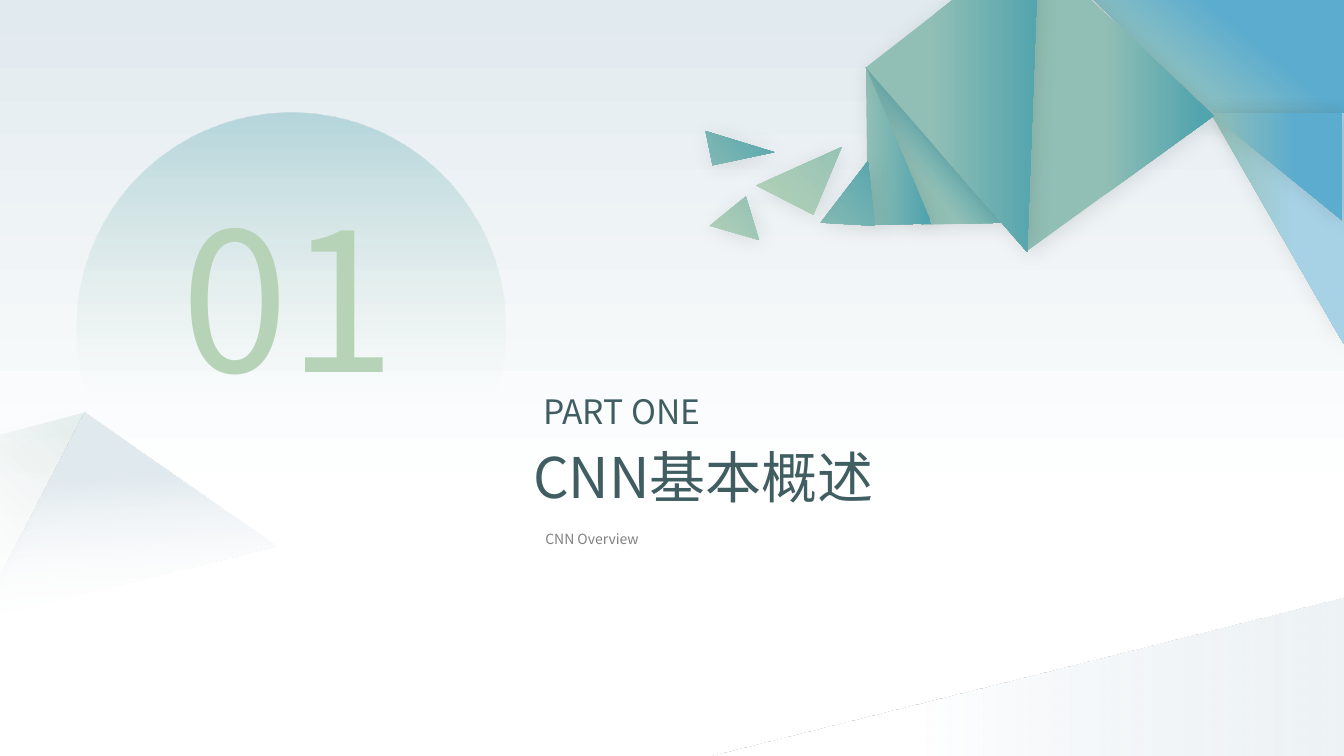
"""Builds the section-opening slide for part one, the CNN overview."""
from dataclasses import dataclass
from math import cos, radians, sin
from typing import Optional, Union

from lxml.etree import SubElement
from pptx import Presentation
from pptx.dml.color import RGBColor
from pptx.dml.fill import FillFormat
from pptx.enum.shapes import MSO_SHAPE as Preset
from pptx.enum.text import MSO_ANCHOR as Anchor, MSO_AUTO_SIZE as AutoSize, PP_ALIGN as Align
from pptx.oxml.ns import qn
from pptx.shapes.autoshape import Shape
from pptx.slide import Slide
from pptx.util import Pt


@dataclass(frozen=True)
class Theme:
    """Colours, font and type sizes of the slide."""
    mist: str = "E1EAEF"
    white: str = "FFFFFF"
    sage: str = "92BFB5"
    teal: str = "52A4AE"
    leaf: str = "B6D3B7"
    sky: str = "5CACCF"
    ice: str = "A7D2E5"
    ink: str = "405E62"
    grey: str = "808080"
    shadow: str = "000000"
    font: str = "Noto Sans CJK SC"
    number_size: int = 138
    title_size: int = 40
    part_size: int = 24
    caption_size: int = 10


@dataclass(frozen=True)
class Stop:
    """One gradient stop, with position and opacity in percent."""
    position: int
    color: str
    opacity: int = 100


@dataclass(frozen=True)
class Gradient:
    """A two-stop linear gradient with a clockwise angle."""
    start: Stop
    end: Stop
    angle: int = 0


@dataclass(frozen=True)
class Panel:
    """A preset shape; a triangle has its apex at the right."""
    preset: Preset
    box: tuple[float, float, float, float]
    gradient: Gradient
    flipped: bool = False
    shadow: bool = False


@dataclass(frozen=True)
class Facet:
    """A three-cornered outline given by its visible corners."""
    corners: tuple[tuple[float, float], ...]
    gradient: Gradient
    rotation: float = 0
    shadow: bool = True


THEME = Theme()
TILT = 316.9


def blend(first: str, start: int, last: str, end: int, angle: int = 0) -> Gradient:
    """Return an opaque gradient between two colours."""
    return Gradient(Stop(start, first), Stop(end, last), angle)


SAGE_TEAL = blend(THEME.sage, 3, THEME.teal, 92)
LEAF_SAGE = blend(THEME.leaf, 3, THEME.sage, 92)

SCENE: list[Union[Panel, Facet]] = [
    Panel(Preset.RECTANGLE, (0, 0, 960, 540), blend(THEME.mist, 0, THEME.white, 67, 90)),
    Panel(Preset.ISOSCELES_TRIANGLE, (502.6, 427, 458.6, 113.8),
          Gradient(Stop(0, THEME.mist, 57), Stop(67, THEME.white), 180)),
    Facet(((-13.7, 444.2), (-11.5, 313.9), (61.2, 294.5)),
          Gradient(Stop(17, THEME.white, 0), Stop(82, THEME.sage, 22)), TILT),
    Facet(((-15.8, 442.8), (60.5, 294.5), (197.3, 390.2)),
          Gradient(Stop(29, THEME.mist), Stop(67, THEME.white, 0), 130), TILT, False),
    Panel(Preset.ISOSCELES_TRIANGLE, (781.2, 0, 179.3, 175),
          blend(THEME.leaf, 31, THEME.sky, 75, 50), True, True),
    Facet(((717.1, 159.1), (658.1, 160.6), (618.5, 48.2)),
          blend(THEME.sage, 35, THEME.teal, 62, 320)),
    Facet(((665.3, 159.8), (619.9, 160.6), (618.5, 48.2)),
          blend(THEME.sage, 0, THEME.teal, 92)),
    Panel(Preset.ISOSCELES_TRIANGLE, (864.7, 80.6, 95, 164.9),
          blend(THEME.sage, 0, THEME.ice, 63), True, True),
    Panel(Preset.OVAL, (54.7, 80.6, 306.7, 306.7),
          Gradient(Stop(0, THEME.teal, 34), Stop(65, THEME.leaf, 0), 90)),
    Panel(Preset.ISOSCELES_TRIANGLE, (864, 80.6, 95, 77),
          blend(THEME.sage, 0, THEME.sky, 65), True, True),
    Facet(((733.7, 179.3), (739.4, -38.2), (866.9, 82.8)),
          blend(THEME.sage, 40, THEME.teal, 93)),
    Facet(((733.7, 180), (618.5, 48.2), (742.3, -48.2)),
          blend(THEME.sage, 37, THEME.teal, 100)),
    Facet(((625, 161.3), (586.1, 159.1), (619.9, 115.2)), SAGE_TEAL, TILT),
    Facet(((581, 153.4), (540, 132.5), (601.2, 105.1)), LEAF_SAGE, TILT),
    Facet(((509, 118.1), (504, 93.6), (553, 108.7)), SAGE_TEAL, TILT),
    Facet(((506.9, 161.3), (532.8, 140.4), (542.2, 171.4)), LEAF_SAGE, TILT),
]


def paint(fill: FillFormat, gradient: Gradient) -> None:
    """Apply a linear gradient to a fill."""
    fill.gradient()
    fill.gradient_angle = (360 - gradient.angle) % 360
    for target, stop in zip(fill.gradient_stops, (gradient.start, gradient.end)):
        target.position = stop.position / 100
        target.color.rgb = RGBColor.from_string(stop.color)
        if stop.opacity < 100:
            color = target._gs.find(qn("a:srgbClr"))
            SubElement(color, qn("a:alpha"), val=str(stop.opacity * 1000))


def finish(shape: Shape, gradient: Gradient, shadow: bool) -> None:
    """Paint a shape without outline and give it a soft shadow if wanted."""
    paint(shape.fill, gradient)
    shape.line.fill.background()
    shape.shadow.inherit = False
    if shadow:
        effects = shape._element.spPr.find(qn("a:effectLst"))
        outer = SubElement(effects, qn("a:outerShdw"), blurRad=str(Pt(15)), dist=str(Pt(3)),
                           dir=str(45 * 60000), algn="tl", rotWithShape="0")
        color = SubElement(outer, qn("a:srgbClr"), val=THEME.shadow)
        SubElement(color, qn("a:alpha"), val="10000")


def turn(x: float, y: float, degrees: float) -> tuple[float, float]:
    """Rotate a point clockwise about the slide's top-left corner."""
    angle = radians(degrees)
    return x * cos(angle) - y * sin(angle), x * sin(angle) + y * cos(angle)


def draw_panel(slide: Slide, panel: Panel) -> None:
    """Draw a preset shape."""
    shape = slide.shapes.add_shape(panel.preset, *map(Pt, panel.box))
    if panel.preset == Preset.ISOSCELES_TRIANGLE:
        shape.adjustments[0] = 1
    if panel.flipped:
        shape._element.spPr.xfrm.set("flipV", "1")
    finish(shape, panel.gradient, panel.shadow)


def draw_facet(slide: Slide, facet: Facet) -> None:
    """Draw a facet upright, then rotate it so its corners land in place."""
    upright = [turn(x, y, -facet.rotation) for x, y in facet.corners]
    points = [(Pt(x), Pt(y)) for x, y in upright]
    builder = slide.shapes.build_freeform(*points[0])
    builder.add_line_segments(points[1:], close=True)
    shape = builder.convert_to_shape()
    center = turn(shape.left + shape.width / 2, shape.top + shape.height / 2, facet.rotation)
    shape.left = round(center[0] - shape.width / 2)
    shape.top = round(center[1] - shape.height / 2)
    shape.rotation = facet.rotation
    finish(shape, facet.gradient, facet.shadow)


def write(slide: Slide, text: str, *, box: tuple[float, float, float, float], size: int,
          color: Union[str, Gradient], align: Align = Align.LEFT, spacing: float = 1.0,
          holder: Optional[Shape] = None) -> None:
    """Write one line in a placeholder or a new text box."""
    target = holder or slide.shapes.add_textbox(*map(Pt, box))
    target.left, target.top, target.width, target.height = map(Pt, box)
    slide.shapes._spTree.append(target._element)
    frame = target.text_frame
    frame.word_wrap, frame.auto_size = True, AutoSize.SHAPE_TO_FIT_TEXT
    frame.vertical_anchor = Anchor.TOP
    paragraph = frame.paragraphs[0]
    paragraph.alignment, paragraph.line_spacing = align, spacing
    paragraph.space_before = Pt(0)
    run = paragraph.add_run()
    run.text = text
    run.font.size, run.font.name = Pt(size), THEME.font
    if isinstance(color, Gradient):
        paint(run.font.fill, color)
    else:
        run.font.color.rgb = RGBColor.from_string(color)
    SubElement(run.font._element, qn("a:ea"), typeface=THEME.font)


def main() -> None:
    """Build and save the slide."""
    deck = Presentation()
    deck.slide_width, deck.slide_height = Pt(960), Pt(540)
    slide = deck.slides.add_slide(deck.slide_layouts[0])
    for part in SCENE:
        if isinstance(part, Panel):
            draw_panel(slide, part)
        else:
            draw_facet(slide, part)
    write(slide, "CNN Overview", box=(382.3, 373, 431.3, 20.9), size=THEME.caption_size,
          color=THEME.grey, spacing=1.2, holder=slide.placeholders[1])
    write(slide, "CNN基本概述", box=(373.7, 312.5, 383.8, 55.4), size=THEME.title_size,
          color=THEME.ink, holder=slide.shapes.title)
    write(slide, "PART ONE", box=(380.9, 275.8, 239.8, 36), size=THEME.part_size, color=THEME.ink)
    write(slide, "01", box=(84.2, 124.6, 244.1, 174.2), size=THEME.number_size,
          color=blend(THEME.leaf, 0, THEME.teal, 98, 90), align=Align.CENTER)
    deck.save("out.pptx")


if __name__ == "__main__":
    main()
